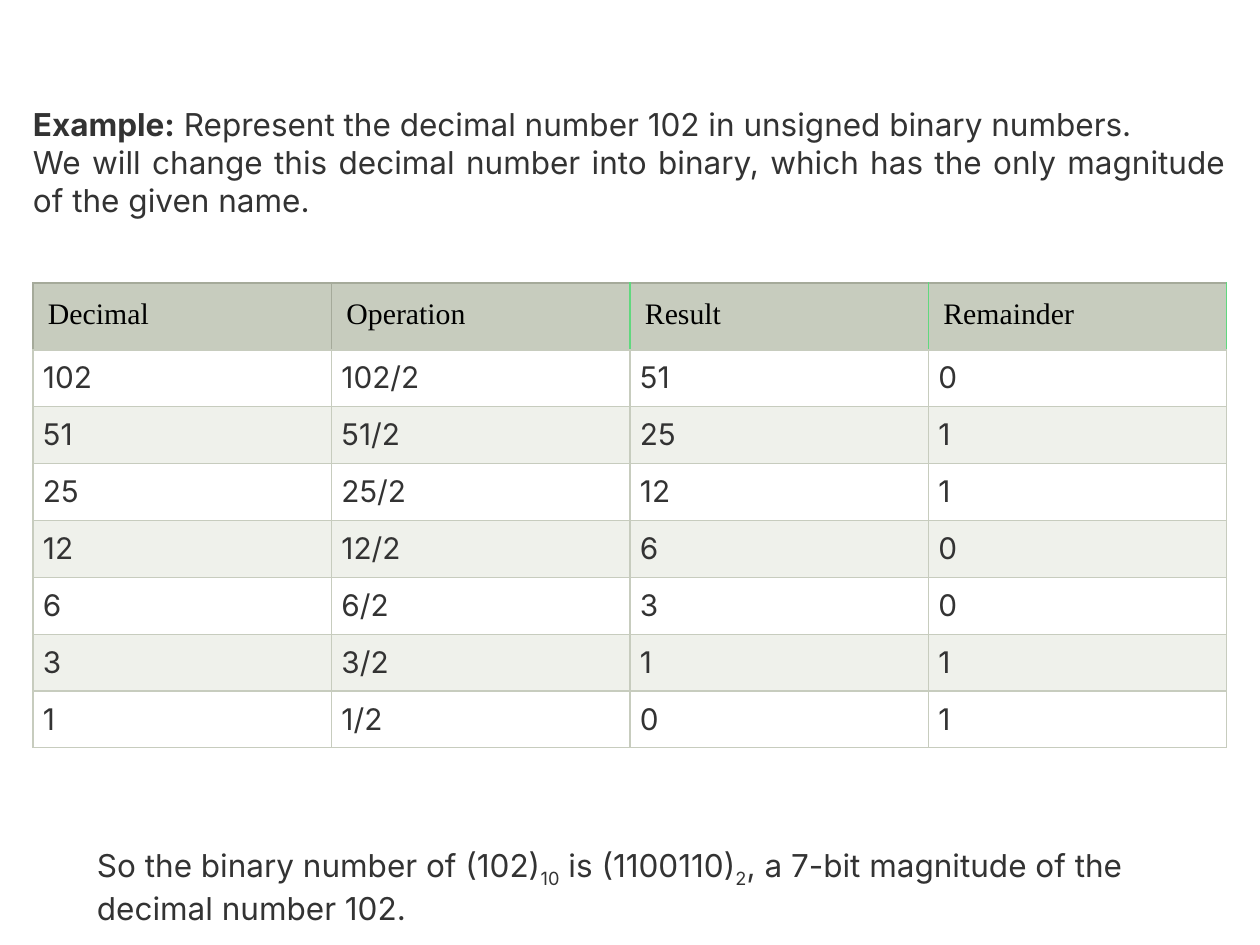
from lxml.etree import SubElement
from pptx import Presentation
from pptx.dml.color import RGBColor
from pptx.enum.text import MSO_ANCHOR, PP_ALIGN
from pptx.oxml.ns import qn
from pptx.util import Pt

PX = 914400 // 126
INK, SAGE, PALE, WHITE = "333333", "C7CCBE", "EFF1EB", "FFFFFF"
GREEN, GREY = "60D87E", "A5AA9A"
HEADERS = ["Decimal", "Operation", "Result", "Remainder"]


def px(length):
    return length * PX


def color(value):
    return RGBColor.from_string(value)


def add_text(paragraph, text, font="Inter", size=18, ink=INK, bold=False, baseline=0):
    run = paragraph.add_run()
    run.text = text
    run.font.name = font
    run.font.size = Pt(size)
    run.font.bold = bold
    run.font.color.rgb = color(ink)
    if baseline:
        run.font._element.set("baseline", str(baseline))


def add_text_box(slide, box, paragraphs, margins=(0, 0), align=PP_ALIGN.LEFT):
    frame = slide.shapes.add_textbox(*map(px, box)).text_frame
    frame.word_wrap = True
    frame.vertical_anchor = MSO_ANCHOR.TOP
    frame.margin_left = frame.margin_right = px(margins[0])
    frame.margin_top = frame.margin_bottom = px(margins[1])
    for index, runs in enumerate(paragraphs):
        paragraph = frame.add_paragraph() if index else frame.paragraphs[0]
        paragraph.alignment = align
        for text, style in runs:
            add_text(paragraph, text, **style)


def set_borders(cell, left=SAGE, right=SAGE, top=SAGE, bottom=SAGE):
    properties = cell._tc.get_or_add_tcPr()
    sides = {"a:lnL": left, "a:lnR": right, "a:lnT": top, "a:lnB": bottom}
    for position, (tag, value) in enumerate(sides.items()):
        line = SubElement(properties, qn(tag), w=str(Pt(0.75)))
        SubElement(SubElement(line, qn("a:solidFill")), qn("a:srgbClr"), val=value)
        properties.insert(position, line)


def fill_cell(cell, text, fill, margin, align=PP_ALIGN.LEFT, **style):
    cell.fill.solid()
    cell.fill.fore_color.rgb = color(fill)
    cell.margin_left = cell.margin_right = px(margin)
    cell.margin_top = cell.margin_bottom = px(margin)
    paragraph = cell.text_frame.paragraphs[0]
    paragraph.alignment = align
    add_text(paragraph, text, size=17, **style)


def division_steps(number):
    while number:
        yield [str(number), f"{number}/2", str(number // 2), str(number % 2)]
        number //= 2


def add_division_table(slide, box, number, header_height):
    steps = list(division_steps(number))
    frame = slide.shapes.add_table(len(steps) + 1, len(HEADERS), *map(px, box))
    table = frame.table
    table.first_row = table.horz_banding = False
    for column in table.columns:
        column.width = px(box[2]) // len(HEADERS)
    row_height = px(box[3] - header_height) // len(steps)
    for index, row in enumerate(table.rows):
        row.height = row_height if index else px(header_height)
    edges = [GREY, GREY, GREEN, GREEN, GREEN]
    for index, header in enumerate(HEADERS):
        cell = table.cell(0, index)
        fill_cell(cell, header, SAGE, 15, font="Times New Roman", ink="000000")
        set_borders(cell, left=edges[index], right=edges[index + 1], top=GREY)
    for row, step in enumerate(steps, start=1):
        for column, text in enumerate(step):
            cell = table.cell(row, column)
            fill_cell(cell, text, WHITE if row % 2 else PALE, 10, PP_ALIGN.JUSTIFY)
            set_borders(cell)


def main():
    presentation = Presentation()
    presentation.slide_width, presentation.slide_height = px(1260), px(945)
    slide = presentation.slides.add_slide(presentation.slide_layouts[6])
    subscript = {"baseline": -25000}
    add_text_box(slide, (33, 105, 1193, 152), [
        [("Example:", {"bold": True}),
         (" Represent the decimal number 102 in unsigned binary numbers.", {})],
        [("We will change this decimal number into binary, which has the only "
          "magnitude of the given name.", {})],
    ], align=PP_ALIGN.JUSTIFY)
    add_division_table(slide, (33, 283, 1194, 465), 102, 67)
    add_text_box(slide, (84, 840, 1140, 89), [[
        ("So the binary number of (102)", {}), ("10", subscript),
        (" is (1100110)", {}), ("2", subscript),
        (", a 7-bit magnitude of the decimal number 102.", {}),
    ]], margins=(13, 6))
    presentation.save("out.pptx")


if __name__ == "__main__":
    main()
